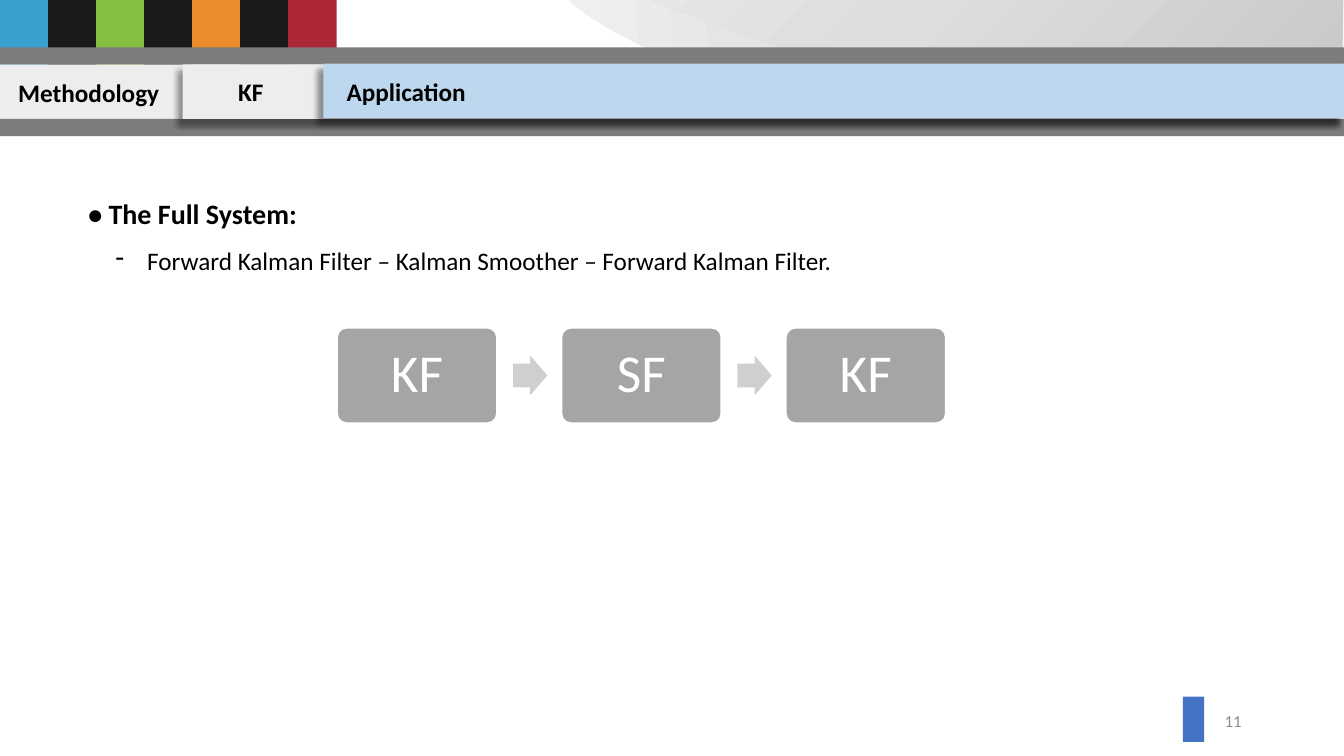
from dataclasses import dataclass

from pptx import Presentation
from pptx.dml.color import RGBColor as RGB
from pptx.enum.shapes import MSO_SHAPE as SHAPE
from pptx.enum.text import MSO_ANCHOR as ANCHOR, MSO_AUTO_SIZE as AUTO, PP_ALIGN as ALIGN
from pptx.oxml import parse_xml
from pptx.oxml.ns import nsdecls, qn
from pptx.util import Pt


@dataclass(frozen=True)
class Theme:
    font: str = "Calibri"
    body: int = 18
    heading: int = 20
    step: int = 38
    small: int = 12
    ink: str = "000000"
    white: str = "FFFFFF"
    muted: str = "8C8C8C"
    accent: str = "4472C4"
    tab: str = "EDEDED"
    active_tab: str = "BDD7EE"
    rule: str = "7C7C7C"
    box: str = "A5A5A5"
    arrow: str = "CFCFCF"
    stripes: tuple = ("37A0CE", "1B1919", "84BF42", "1B1919", "EB8B2C", "1B1919", "AD2836")
    back_wave: tuple = ("D8D8D8", "E5E5E5", "F2F2F2")
    front_wave: tuple = ("CACACA", "DDDDDD", "EEEEEE")


def write(tf, text, *, font, size, color, bold=False, align=ALIGN.CENTER,
          anchor=ANCHOR.TOP, spacing=1.0, grow=False):
    tf.word_wrap = True
    tf.vertical_anchor = anchor
    tf.auto_size = AUTO.SHAPE_TO_FIT_TEXT if grow else AUTO.NONE
    p = tf.paragraphs[0]
    p.alignment = align
    p.line_spacing = spacing
    p.space_before = Pt(0)
    r = p.add_run()
    r.text = text
    r.font.name = font
    r.font.size = Pt(size)
    r.font.bold = bold
    r.font.color.rgb = RGB.from_string(color)
    return p


def curve(start, c1, c2, end, steps=24):
    points = []
    for i in range(1, steps + 1):
        t = i / steps
        weights = ((1 - t) ** 3, 3 * t * (1 - t) ** 2, 3 * t * t * (1 - t), t ** 3)
        points.append(tuple(sum(w * v for w, v in zip(weights, axis))
                            for axis in zip(start, c1, c2, end)))
    return points


class Deck:
    def __init__(self, prs, theme):
        self.theme = theme
        self.s = prs.slides.add_slide(prs.slide_layouts[5])

    def shape(self, kind, x, y, w, h, fill, line=None, adjust=(), shadow=False):
        sp = self.s.shapes.add_shape(kind, Pt(x), Pt(y), Pt(w), Pt(h))
        sp.shadow.inherit = False
        sp.fill.solid()
        sp.fill.fore_color.rgb = RGB.from_string(fill)
        if line:
            sp.line.color.rgb = RGB.from_string(line)
            sp.line.width = Pt(1.5)
        else:
            sp.line.fill.background()
        for i, value in enumerate(adjust):
            sp.adjustments[i] = value
        if shadow:
            sp.element.spPr.find(qn("a:effectLst")).append(parse_xml(
                f'<a:outerShdw {nsdecls("a")} blurRad="{Pt(4)}" dist="{Pt(6)}" '
                'dir="8100000" algn="tr" rotWithShape="0"><a:srgbClr val="000000">'
                '<a:alpha val="40000"/></a:srgbClr></a:outerShdw>'))
        return sp

    def rect(self, x, y, w, h, fill, **options):
        return self.shape(SHAPE.RECTANGLE, x, y, w, h, fill, **options)

    def wave(self, points, colors, direction):
        start, *rest = [(Pt(x), Pt(y)) for x, y in points]
        builder = self.s.shapes.build_freeform(*start)
        builder.add_line_segments(rest, close=True)
        sp = builder.convert_to_shape()
        sp.shadow.inherit = False
        sp.line.fill.background()
        sp.fill.background()
        stops = "".join(f'<a:gs pos="{i * 50000}"><a:srgbClr val="{c}"/></a:gs>'
                        for i, c in enumerate(colors))
        pr = sp.element.spPr
        pr.replace(pr.find(qn("a:noFill")), parse_xml(
            f'<a:gradFill {nsdecls("a")}><a:gsLst>{stops}</a:gsLst>{direction}</a:gradFill>'))

    def style(self, **options):
        return {"font": self.theme.font, "size": self.theme.body,
                "color": self.theme.ink, **options}

    def text(self, text, x, y, w, h, **options):
        tb = self.s.shapes.add_textbox(Pt(x), Pt(y), Pt(w), Pt(h))
        return write(tb.text_frame, text, **self.style(**options))

    def title(self, text, x, y, w, h, **options):
        sp = self.s.shapes.title
        sp.left, sp.top, sp.width, sp.height = Pt(x), Pt(y), Pt(w), Pt(h)
        write(sp.text_frame, text, **self.style(**options))
        self.s.shapes.element.append(sp.element)

    def bullet(self, text, x, y, w, h, mark, indent):
        p = self.text(text, x, y, w, h, align=ALIGN.LEFT, grow=True)
        pr = p._p.get_or_add_pPr()
        pr.set("marL", str(Pt(indent)))
        pr.set("indent", str(-Pt(indent)))
        pr.append(parse_xml(f'<a:buChar {nsdecls("a")} char="{mark}"/>'))

    def flow(self, labels, x, y, pitch):
        w, h, arrow_w, arrow_h = 114.5, 68.4, 24.5, 28.4
        for i, label in enumerate(labels):
            left = x + i * pitch
            if i:
                self.shape(SHAPE.RIGHT_ARROW, left - 34.4, y + (h - arrow_h) / 2,
                           arrow_w, arrow_h, self.theme.arrow, adjust=(0.6, 0.5))
            sp = self.shape(SHAPE.ROUNDED_RECTANGLE, left, y, w, h, self.theme.box,
                            line=self.theme.white, adjust=(0.1,))
            write(sp.text_frame, label, **self.style(
                size=self.theme.step, color=self.theme.white,
                anchor=ANCHOR.MIDDLE, spacing=0.9))


def main():
    prs = Presentation()
    prs.slide_width, prs.slide_height = Pt(960), Pt(540)
    theme = Theme()
    deck = Deck(prs, theme)

    deck.rect(845, 497.5, 15.1, 32.4, theme.accent)
    deck.rect(0, 46, 960, 39, theme.tab)
    for i, color in enumerate(theme.stripes):
        deck.rect(i * 34.3, -0.7, 34.6, 46.8, color)

    corner = (486, 46)
    deck.wave([(385.2, -61.9), (959, -61.2), (960, 45.4), corner]
              + curve(corner, (393.8, 3.6), (385.2, -12.2), (385.2, -61.9)),
              theme.back_wave,
              '<a:path path="circle"><a:fillToRect l="50000" t="50000" '
              'r="50000" b="50000"/></a:path>')
    corner = (584.6, 45.4)
    deck.wave([(382.3, -62.6), (960, -61.2), (959, 44.6), corner]
              + curve(corner, (499.7, 7.9), (382.3, -18), (382.3, -62.6)),
              theme.front_wave, '<a:lin ang="13500000" scaled="0"/>')

    for y in (33.9, 85):
        deck.rect(0, y, 960, 12.2, theme.rule)
    deck.rect(130.4, 46, 829, 39, theme.tab, shadow=True)
    deck.rect(231, 45.5, 929 - 200, 39, theme.active_tab, shadow=True)
    deck.text("Methodology", 2.2, 52, 122.4, 29, bold=True, grow=True)
    deck.text("KF", 118, 51.2, 122.4, 29, bold=True, grow=True)
    deck.title("Application", 230.4, 51.2, 119.5, 29, bold=True, grow=True)

    deck.text("• The Full System:", 34.6, 136.8, 206, 31.5,
              size=theme.heading, bold=True, grow=True)
    deck.bullet("Forward Kalman Filter – Kalman Smoother – Forward Kalman Filter.",
                75.6, 171.4, 690, 29, mark="-", indent=22.5)
    deck.flow(("KF", "SF", "KF"), 240.6, 234, 160.3)
    deck.text("11", 678, 500.4, 216, 29, size=theme.small, color=theme.muted,
              align=ALIGN.RIGHT, anchor=ANCHOR.MIDDLE)

    prs.save("out.pptx")


if __name__ == "__main__":
    main()
